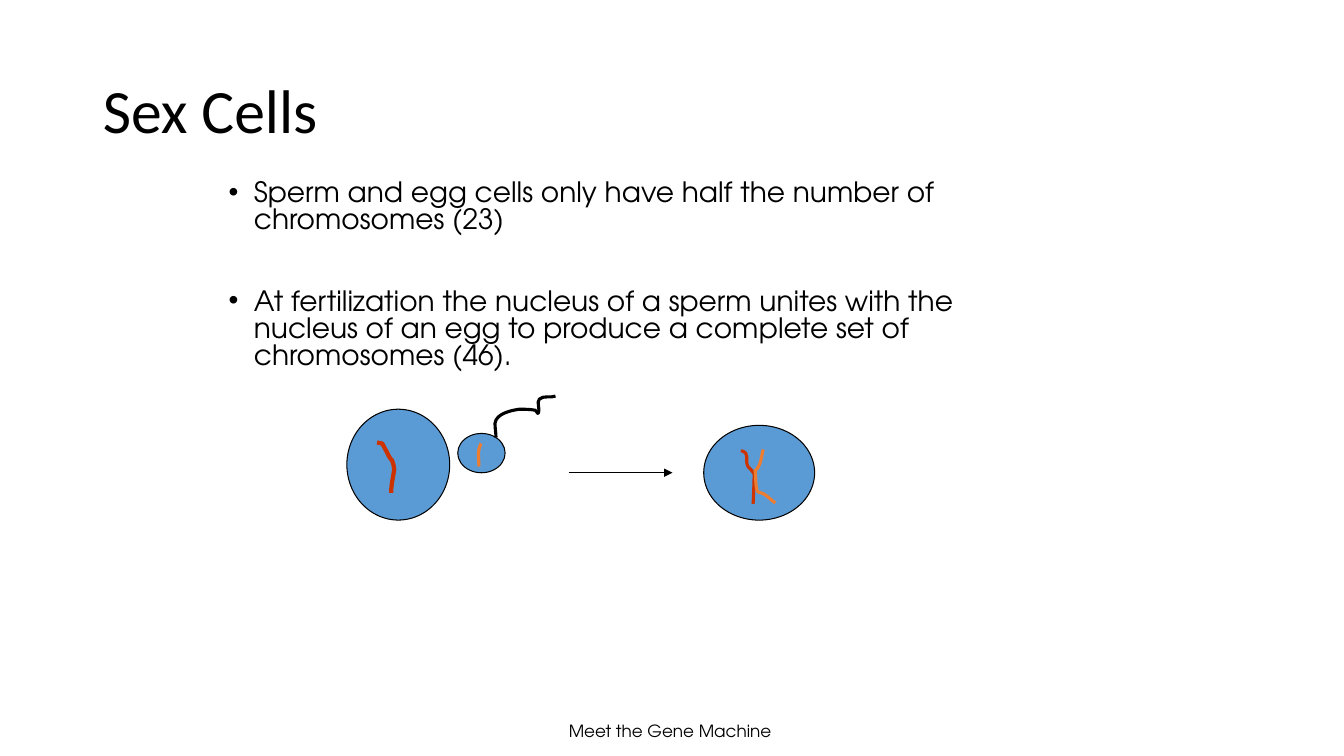
"""Build the slide on sex cells and fertilization."""
from lxml import etree
from pptx import Presentation
from pptx.dml.color import RGBColor
from pptx.enum.shapes import MSO_CONNECTOR, MSO_SHAPE
from pptx.enum.text import MSO_ANCHOR, PP_ALIGN
from pptx.oxml.ns import qn
from pptx.util import Inches, Pt

LINE, OVAL = MSO_CONNECTOR.STRAIGHT, MSO_SHAPE.OVAL
LEFT, CENTER = PP_ALIGN.LEFT, PP_ALIGN.CENTER
TOP, MIDDLE, BOTTOM = MSO_ANCHOR.TOP, MSO_ANCHOR.MIDDLE, MSO_ANCHOR.BOTTOM
BLACK = RGBColor(0x00, 0x00, 0x00)
BLUE = RGBColor(0x5B, 0x9B, 0xD5)
RED = RGBColor(0xCC, 0x33, 0x00)
ORANGE = RGBColor(0xED, 0x7D, 0x31)
FONT = "TeX Gyre Adventor"


def add_run(para, text, size, font):
    run = para.add_run()
    run.text = text
    run.font.size = Pt(size)
    run.font.name = font
    run.font.color.rgb = BLACK


def add_curve(points, color, width):
    """Draw joined cubic curves as an open line."""
    dots = [(Inches(x), Inches(y)) for x, y in points]
    pen = slide.shapes.build_freeform(*dots[0])
    pen.add_line_segments(dots[1:], close=False)
    curve = pen.convert_to_shape()
    steps = list(curve._element.iter(qn("a:lnTo")))
    for i in range(0, len(steps), 3):
        bend = etree.Element(qn("a:cubicBezTo"))
        steps[i].addprevious(bend)
        for step in steps[i:i + 3]:
            bend.append(step[0])
            step.getparent().remove(step)
    curve.shadow.inherit = False
    curve.fill.background()
    curve.line.color.rgb = color
    curve.line.width = Pt(width)


deck = Presentation()
deck.slide_width, deck.slide_height = Inches(13.33), Inches(7.5)
slide = deck.slides.add_slide(deck.slide_layouts[5])

title = slide.shapes.title
title.left, title.top = Inches(0.92), Inches(0.4)
title.width, title.height = Inches(11.5), Inches(1.45)
title.text_frame.vertical_anchor = MIDDLE
head = title.text_frame.paragraphs[0]
head.alignment = LEFT
head.line_spacing = 0.9
add_run(head, "Sex Cells", 44, "Calibri")

foot = slide.shapes.add_textbox(Inches(4.42), Inches(6.95), Inches(4.5), Inches(0.4)).text_frame
foot.word_wrap = True
foot.vertical_anchor = BOTTOM
foot.margin_bottom = 0
foot.paragraphs[0].alignment = CENTER
add_run(foot.paragraphs[0], "Meet the Gene Machine ", 12, FONT)

body = slide.shapes.add_textbox(Inches(2.17), Inches(1.75), Inches(8.36), Inches(2.16)).text_frame
body.word_wrap = True
body.vertical_anchor = TOP
facts = [
    ("Sperm and egg cells only have half the number of chromosomes (23)", 10),
    ("At fertilization the nucleus of a sperm unites with the nucleus of an egg "
     "to produce a complete set of chromosomes (46).", 39),
]
for i, (text, gap) in enumerate(facts):
    para = body.add_paragraph() if i else body.paragraphs[0]
    para.line_spacing = 0.8
    para.space_before = Pt(gap)
    add_run(para, text, 20, FONT)
    props = para._p.get_or_add_pPr()
    props.set("marL", str(Inches(0.25)))
    props.set("indent", str(-Inches(0.25)))
    etree.SubElement(props, qn("a:buFont")).set("typeface", "Arial")
    etree.SubElement(props, qn("a:buChar")).set("char", "•")

cells = [(3.44, 4.06, 1.02, 1.1), (4.54, 4.3, 0.47, 0.39), (6.98, 4.22, 1.1, 0.94)]
for box in cells:
    cell = slide.shapes.add_shape(OVAL, *map(Inches, box))
    cell.shadow.inherit = False
    cell.fill.solid()
    cell.fill.fore_color.rgb = BLUE
    cell.line.color.rgb = BLACK
    cell.line.width = Pt(0.75)

arrow = slide.shapes.add_connector(LINE, Inches(5.64), Inches(4.69), Inches(6.67), Inches(4.69))
arrow.line.color.rgb = BLACK
arrow.line.width = Pt(0.75)
etree.SubElement(arrow.line._get_or_add_ln(), qn("a:tailEnd")).set("type", "triangle")
etree.SubElement(arrow._element.spPr, qn("a:effectLst"))

tail = [(4.92, 4.34), (4.92, 4.3), (4.91, 4.25), (4.91, 4.2),
        (4.92, 4.1), (5.08, 4.07), (5.15, 4.06),
        (5.2, 4.06), (5.26, 4.06), (5.31, 4.07),
        (5.32, 4.07), (5.33, 4.11), (5.34, 4.1),
        (5.36, 4.06), (5.32, 3.99), (5.35, 3.96),
        (5.39, 3.92), (5.46, 3.95), (5.51, 3.93)]
egg_strand = [(3.74, 4.39), (3.76, 4.39), (3.77, 4.39), (3.79, 4.4),
              (3.8, 4.41), (3.82, 4.46), (3.83, 4.47),
              (3.85, 4.51), (3.86, 4.54), (3.89, 4.57),
              (3.9, 4.6), (3.91, 4.63), (3.91, 4.66),
              (3.9, 4.73), (3.88, 4.81), (3.88, 4.89)]
sperm_strand = [(4.77, 4.4), (4.73, 4.5), (4.75, 4.5), (4.75, 4.63)]
red_half = [(7.35, 4.47), (7.45, 4.5), (7.38, 4.56), (7.42, 4.63),
            (7.44, 4.65), (7.46, 4.67), (7.48, 4.7),
            (7.48, 4.8), (7.47, 5), (7.47, 5)]
orange_half = [(7.57, 4.46), (7.55, 4.53), (7.55, 4.62), (7.49, 4.67),
               (7.5, 4.74), (7.49, 4.81), (7.51, 4.87),
               (7.51, 4.89), (7.54, 4.88), (7.55, 4.89),
               (7.61, 4.91), (7.64, 4.96), (7.69, 4.99)]
for points, color, width in [
    (tail, BLACK, 2.25),
    (egg_strand, RED, 3),
    (sperm_strand, ORANGE, 2.25),
    (red_half, RED, 2.25),
    (orange_half, ORANGE, 2.25),
]:
    add_curve(points, color, width)

deck.save("out.pptx")
